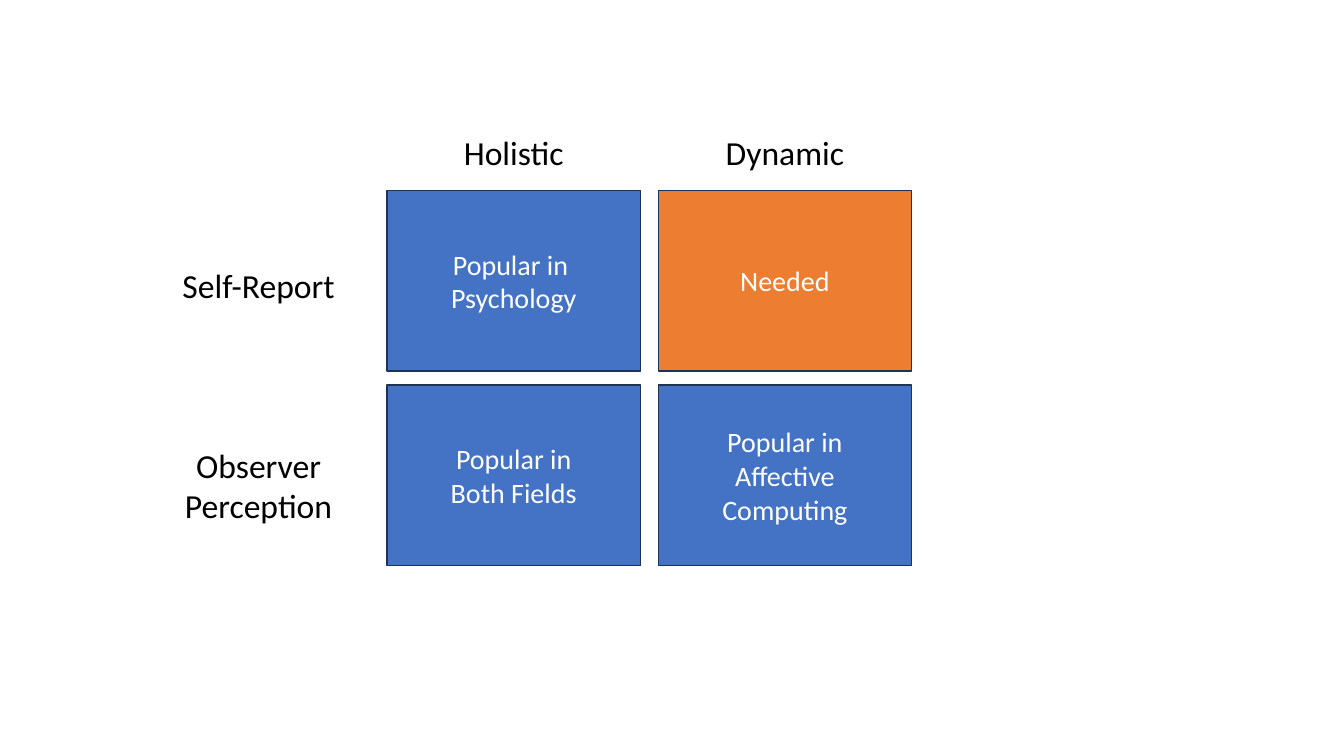
import pptx
import pptx.dml.color
import pptx.enum.shapes
import pptx.enum.text
import pptx.util

Inches = pptx.util.Inches
Pt = pptx.util.Pt
HUES = {"blue": "4472C4", "orange": "ED7D31", "edge": "1E3256",
        "white": "FFFFFF", "black": "000000"}

# "\v" breaks a line, "\n" starts a paragraph
CELLS = [[("Popular in \vPsychology", "blue"), ("Needed", "orange")],
         [("Popular in\nBoth Fields", "blue"),
          ("Popular in\vAffective\vComputing", "blue")]]
HEADS = ["Holistic", "Dynamic"]
# text, top from the grid's top, height
SIDES = [("Self-Report", 0.69, 0.5), ("Observer\vPerception", 2.47, 0.91)]


def hue(name):
    """Return the named colour."""
    return pptx.dml.color.RGBColor.from_string(HUES[name])


def write(shape, text, size=24, color="black", anchor="TOP"):
    """Put centred, formatted text into a shape."""
    frame = shape.text_frame
    frame.word_wrap = True
    frame.vertical_anchor = getattr(pptx.enum.text.MSO_ANCHOR, anchor)
    frame.text = text
    for para in frame.paragraphs:
        para.alignment = pptx.enum.text.PP_ALIGN.CENTER
        for run in para.runs:
            run.font.name = "Calibri"
            run.font.size = Pt(size)
            run.font.color.rgb = hue(color)


def label(slide, box, text):
    """Add a heading in the given box."""
    write(slide.shapes.add_textbox(*map(Inches, box)), text)


def cell(slide, box, text, fill):
    """Add one filled cell of the matrix."""
    kind = pptx.enum.shapes.MSO_SHAPE.RECTANGLE
    shape = slide.shapes.add_shape(kind, *map(Inches, box))
    shape.shadow.inherit = False
    shape.fill.solid()
    shape.fill.fore_color.rgb = hue(fill)
    shape.line.color.rgb = hue("edge")
    shape.line.width = Pt(1)
    write(shape, text, size=20, color="white", anchor="MIDDLE")


def matrix(slide, box, gap_x=0.18, gap_y=0.14):
    """Fill the box with a two by two grid, headed above and at left."""
    left, top, width, height = box
    wide, high = (width - gap_x) / 2, (height - gap_y) / 2
    cols = [left + i * (wide + gap_x) for i in range(2)]
    rows = [top + i * (high + gap_y) for i in range(2)]
    for y, row in zip(rows, CELLS):
        for x, (text, fill) in zip(cols, row):
            cell(slide, (x, y, wide, high), text, fill)
    for x, text in zip(cols, HEADS):
        label(slide, (x, top - 0.63, wide, 0.5), text)
    for text, drop, tall in SIDES:
        label(slide, (left - 2.39, top + drop, 2.23, tall), text)


def main():
    """Build and save the slide."""
    deck = pptx.Presentation()
    deck.slide_width, deck.slide_height = Inches(13.33), Inches(7.5)
    slide = deck.slides.add_slide(deck.slide_layouts[6])
    matrix(slide, (3.84, 1.89, 5.2, 3.72))
    deck.save("out.pptx")


main()
